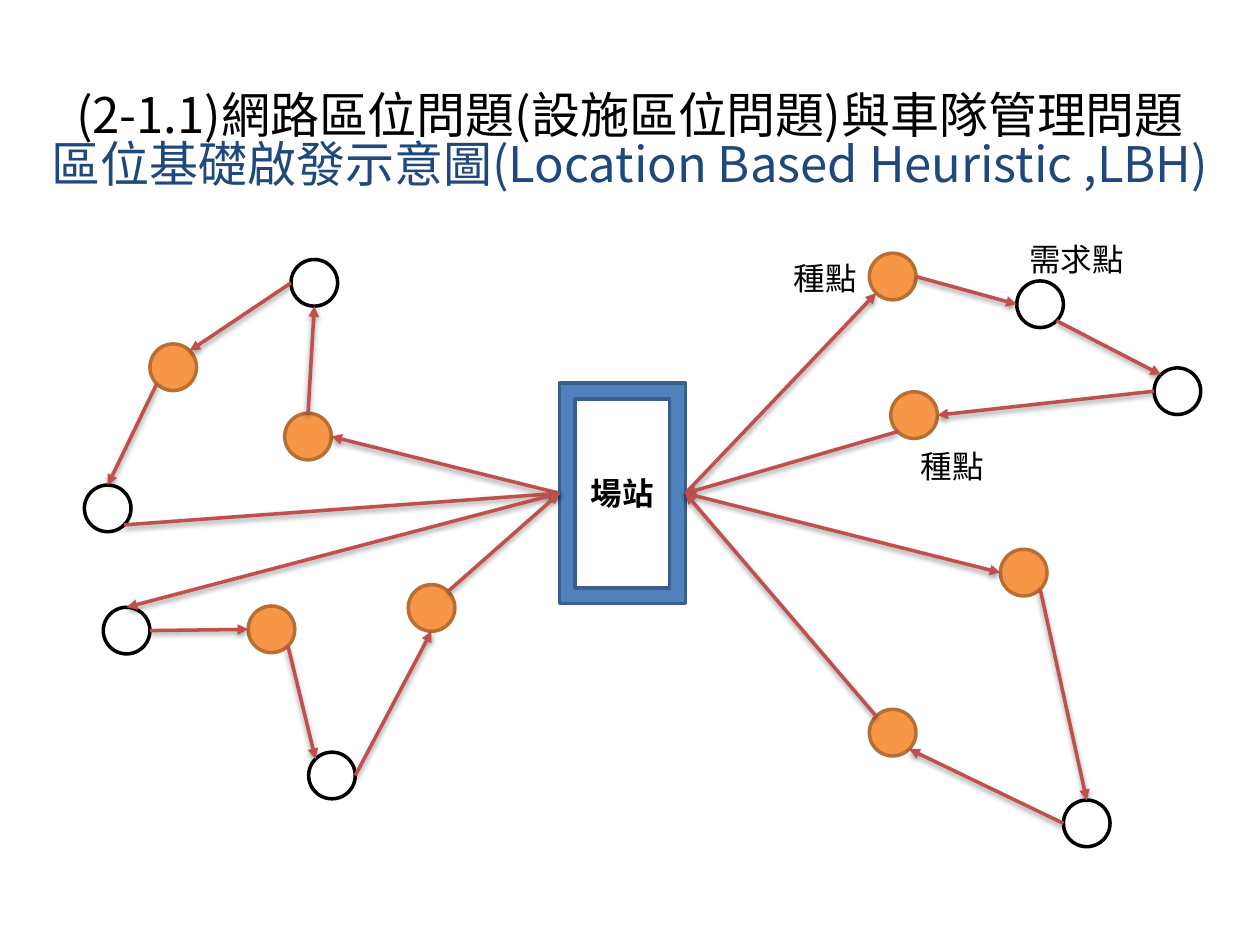
import math
from lxml import etree
from pptx import Presentation
from pptx import util as u
from pptx.dml.color import RGBColor
from pptx.enum import shapes, text
from pptx.oxml import parse_xml
from pptx.oxml.ns import nsdecls, qn

COLORS = {
    "black": "000000", "white": "FFFFFF", "navy": "1F497D",
    "seed": "F79646", "seed_edge": "B76F34",
    "depot": "4F81BD", "depot_edge": "3A5F8C", "route": "C0504D",
}
FONT = "Noto Sans CJK SC"
DIAMETER = 0.37
ANGLES = {"E": 0, "SE": 45, "S": 90, "SW": 135, "W": 180, "NW": 225, "N": 270, "NE": 315}
LEFT, RIGHT = 1, 3


def write(box, content, size=18, color="black", bold=False, align=text.PP_ALIGN.LEFT, spacing=None):
    frame = box.text_frame
    para = frame.add_paragraph() if frame.text else frame.paragraphs[0]
    para.alignment = align
    para.line_spacing = spacing
    span = para.add_run()
    span.text = content
    span.font.size = u.Pt(size)
    span.font.bold = bold
    span.font.name = FONT
    span.font.color.rgb = RGBColor.from_string(COLORS[color])
    etree.SubElement(span.font._element, qn("a:ea")).set("typeface", FONT)


def add_figure(preset, left, top, width, height, fill, edge):
    figure = page.shapes.add_shape(
        preset, u.Inches(left), u.Inches(top), u.Inches(width), u.Inches(height))
    figure.shadow.inherit = False
    figure.fill.solid()
    figure.fill.fore_color.rgb = RGBColor.from_string(COLORS[fill])
    figure.line.color.rgb = RGBColor.from_string(COLORS[edge])
    figure.line.width = u.Pt(2)
    return figure


deck = Presentation()
deck.slide_width, deck.slide_height = u.Inches(10), u.Inches(7.5)
page = deck.slides.add_slide(deck.slide_layouts[6])

title = page.shapes.add_textbox(u.Inches(0), u.Inches(0.6), u.Inches(10), u.Inches(1.54))
title.text_frame.word_wrap = True
title.text_frame.vertical_anchor = text.MSO_ANCHOR.MIDDLE
title.text_frame.margin_bottom = u.Inches(0.51)
for content, color in [
    ("(2-1.1)網路區位問題(設施區位問題)與車隊管理問題", "black"),
    ("區位基礎啟發示意圖(Location Based Heuristic ,LBH)", "navy"),
]:
    write(title, content, size=28, color=color, align=text.PP_ALIGN.CENTER, spacing=0.82)

depot = add_figure(shapes.MSO_SHAPE.FRAME, 4.44, 3.04, 1, 1.75, "depot", "depot_edge")
depot.text_frame.word_wrap = True
depot.text_frame.vertical_anchor = text.MSO_ANCHOR.MIDDLE
write(depot, "場站", bold=True, align=text.PP_ALIGN.CENTER)

seeds = {
    "west_upper": (1.19, 2.73), "west_inner": (2.26, 3.28),
    "south_west": (1.97, 4.81), "south_inner": (3.24, 4.64),
    "north_east": (6.9, 2.01), "east_inner": (7.07, 3.11),
    "east_lower": (7.94, 4.36), "south_east": (6.9, 5.63),
}
demands = {
    "west_top": (2.31, 2.06), "west_end": (0.67, 3.85),
    "south_start": (0.82, 4.82), "south_bottom": (2.45, 5.97),
    "east_top": (8.07, 2.23), "east_far": (9.16, 2.92),
    "east_bottom": (8.44, 6.35),
}
for points, fill, edge in [(seeds, "seed", "seed_edge"), (demands, "white", "black")]:
    for left, top in points.values():
        add_figure(shapes.MSO_SHAPE.OVAL, left, top, DIAMETER, DIAMETER, fill, edge)

for content, left, top, width in [
    ("種點", 6.2, 2.01, 0.71), ("需求點", 8.07, 1.86, 0.96), ("種點", 7.21, 3.5, 0.71),
]:
    label = page.shapes.add_textbox(u.Inches(left), u.Inches(top), u.Inches(width), u.Inches(0.4))
    label.text_frame.word_wrap = False
    label.text_frame.auto_size = text.MSO_AUTO_SIZE.SHAPE_TO_FIT_TEXT
    write(label, content)

# Each stop gives the side of arrival, the point and the side of departure.
tours = [
    (LEFT, [("E", "west_inner", "N"), ("S", "west_top", "W"),
            ("NE", "west_upper", "SW"), ("N", "west_end", "SE")]),
    (LEFT, [("N", "south_start", "E"), ("W", "south_west", "SE"),
            ("NW", "south_bottom", "E"), ("S", "south_inner", "NE")]),
    (RIGHT, [("SW", "north_east", "E"), ("W", "east_top", "SE"),
             ("NW", "east_far", "W"), ("E", "east_inner", "SW")]),
    (RIGHT, [("W", "east_lower", "SE"), ("N", "east_bottom", "W"),
             ("SE", "south_east", "NW")]),
]
points = {**seeds, **demands}
radius = DIAMETER / 2
for depot_side, stops in tours:
    gate = (depot.left + (depot.width if depot_side == RIGHT else 0),
            depot.top + depot.height // 2)
    ends = [gate]
    for arrival, name, departure in stops:
        left, top = points[name]
        for side in (arrival, departure):
            angle = math.radians(ANGLES[side])
            ends.append((u.Inches(left + radius + radius * math.cos(angle)),
                         u.Inches(top + radius + radius * math.sin(angle))))
    ends.append(gate)
    legs = list(zip(ends[::2], ends[1::2]))
    for index, (start, finish) in enumerate(legs):
        arrow = page.shapes.add_connector(shapes.MSO_CONNECTOR.STRAIGHT, *start, *finish)
        if index == 0:
            arrow.begin_connect(depot, depot_side)
        if index == len(legs) - 1:
            arrow.end_connect(depot, depot_side)
        arrow.line.color.rgb = RGBColor.from_string(COLORS["route"])
        arrow.line.width = u.Pt(2)
        properties = arrow._element.spPr
        etree.SubElement(properties.find(qn("a:ln")), qn("a:tailEnd")).set("type", "triangle")
        properties.append(parse_xml(
            f'<a:effectLst {nsdecls("a")}><a:outerShdw blurRad="40000" dist="20000" '
            f'dir="5400000" rotWithShape="0"><a:srgbClr val="{COLORS["black"]}">'
            '<a:alpha val="38000"/></a:srgbClr></a:outerShdw></a:effectLst>'))

deck.save("out.pptx")
